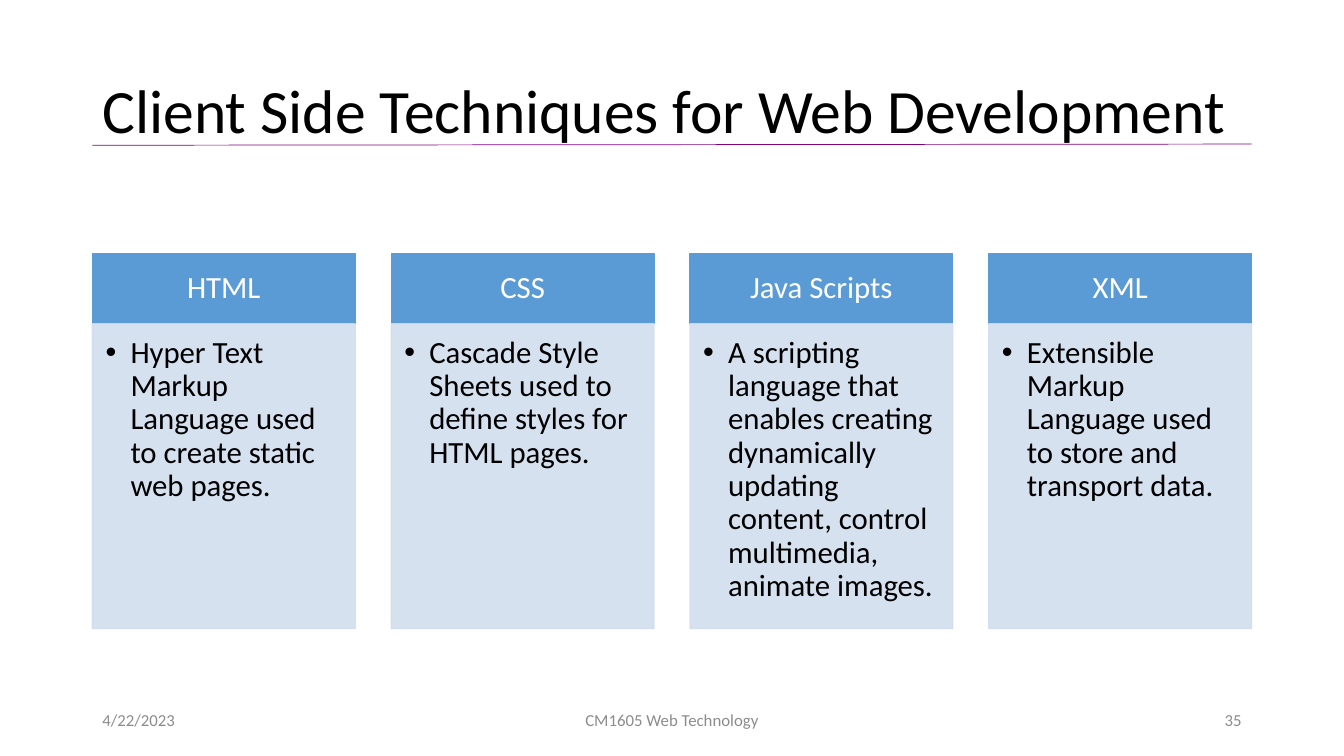
from lxml.etree import SubElement
from pptx import Presentation
from pptx.dml.color import RGBColor
from pptx.enum.shapes import MSO_CONNECTOR, MSO_SHAPE
from pptx.enum.text import MSO_ANCHOR, MSO_AUTO_SIZE, PP_ALIGN
from pptx.oxml.ns import qn
from pptx.util import Cm, Pt

BLACK = RGBColor(0x00, 0x00, 0x00)
WHITE = RGBColor(0xFF, 0xFF, 0xFF)
BLUE = RGBColor(0x5B, 0x9B, 0xD5)
PALE = RGBColor(0xD2, 0xDE, 0xEF)
PURPLE = RGBColor(0x80, 0x00, 0x80)
GRAY = RGBColor(0x8C, 0x8C, 0x8C)
FONT = "Calibri"

CARDS = [
    ("HTML", "Hyper Text Markup Language used to create static web pages."),
    ("CSS", "Cascade Style Sheets used to define styles for HTML pages."),
    ("Java Scripts", "A scripting language that enables creating dynamically "
     "updating content, control multimedia, animate images."),
    ("XML", "Extensible Markup Language used to store and transport data."),
]


def write(shape, text, size, color, align, anchor, insets=(0.25, 0.13, 0.25, 0.13)):
    """Fill a shape with one paragraph; insets are left, top, right, bottom in cm."""
    frame = shape.text_frame
    frame.word_wrap = True
    frame.auto_size = MSO_AUTO_SIZE.NONE
    frame.vertical_anchor = anchor
    (frame.margin_left, frame.margin_top,
     frame.margin_right, frame.margin_bottom) = map(Cm, insets)
    para = frame.paragraphs[0]
    para.text = text
    para.alignment = align
    para.line_spacing = 0.9
    para.font.name = FONT
    para.font.size = Pt(size)
    para.font.color.rgb = color
    return para


def add_bullet(para):
    props = para._p.get_or_add_pPr()
    props.set("marL", str(Cm(0.63)))
    props.set("indent", str(-Cm(0.63)))
    SubElement(props, qn("a:buFont"), typeface="Arial")
    SubElement(props, qn("a:buChar"), char="•")


def add_panel(slide, left, top, width, height, color, alpha=100):
    panel = slide.shapes.add_shape(
        MSO_SHAPE.RECTANGLE, Cm(left), Cm(top), Cm(width), Cm(height))
    panel.shadow.inherit = False
    panel.fill.solid()
    panel.fill.fore_color.rgb = color
    panel.line.color.rgb = color
    panel.line.width = Pt(1)
    if alpha < 100:
        for paint in panel._element.spPr.iter(qn("a:srgbClr")):
            SubElement(paint, qn("a:alpha"), val=str(alpha * 1000))
    return panel


def add_title(slide, left, top, width, height):
    # Rule under the title
    rule = slide.shapes.add_connector(
        MSO_CONNECTOR.STRAIGHT, Cm(left), Cm(top + 2.65),
        Cm(left + width), Cm(top + 2.62))
    rule.line.color.rgb = PURPLE
    rule.line.width = Pt(0.5)
    SubElement(rule._element.spPr, qn("a:effectLst"))
    # Title text
    title = slide.shapes.title
    title.left, title.top = Cm(left), Cm(top)
    title.width, title.height = Cm(width), Cm(height)
    write(title, "Client Side Techniques for Web Development", 44, BLACK,
          PP_ALIGN.LEFT, MSO_ANCHOR.MIDDLE)


def add_card(slide, left, top, width, height, name, text):
    head = 1.77
    bar = add_panel(slide, left, top, width, head, BLUE)
    write(bar, name, 22, WHITE, PP_ALIGN.CENTER, MSO_ANCHOR.MIDDLE,
          (0.43, 0.25, 0.43, 0.25))
    body = add_panel(slide, left, top + head, width, height - head, PALE, 90)
    add_bullet(write(body, text, 22, BLACK, PP_ALIGN.LEFT, MSO_ANCHOR.TOP,
                     (0.33, 0.33, 0.43, 0.48)))


def add_cards(slide, left, top, width, height):
    card = 6.62
    step = (width - card) / (len(CARDS) - 1)
    for i, (name, text) in enumerate(CARDS):
        add_card(slide, left + i * step, top, card, height, name, text)


def add_footer(slide, left, top, width, height):
    side, mid = 7.62, 11.43
    parts = [
        ("4/22/2023", left, side, PP_ALIGN.LEFT),
        ("CM1605 Web Technology", left + (width - mid) / 2, mid, PP_ALIGN.CENTER),
        ("35", left + width - side, side, PP_ALIGN.RIGHT),
    ]
    for text, start, span, align in parts:
        box = slide.shapes.add_textbox(Cm(start), Cm(top), Cm(span), Cm(height))
        write(box, text, 12, GRAY, align, MSO_ANCHOR.MIDDLE)


def main():
    deck = Presentation()
    deck.slide_width, deck.slide_height = Cm(33.87), Cm(19.05)
    slide = deck.slides.add_slide(deck.slide_layouts[5])
    left, width = 2.33, 29.21
    add_title(slide, left, 1.01, width, 3.68)
    add_cards(slide, left, 6.39, width, 9.45)
    add_footer(slide, left, 17.66, width, 1.01)
    deck.save("out.pptx")


if __name__ == "__main__":
    main()
